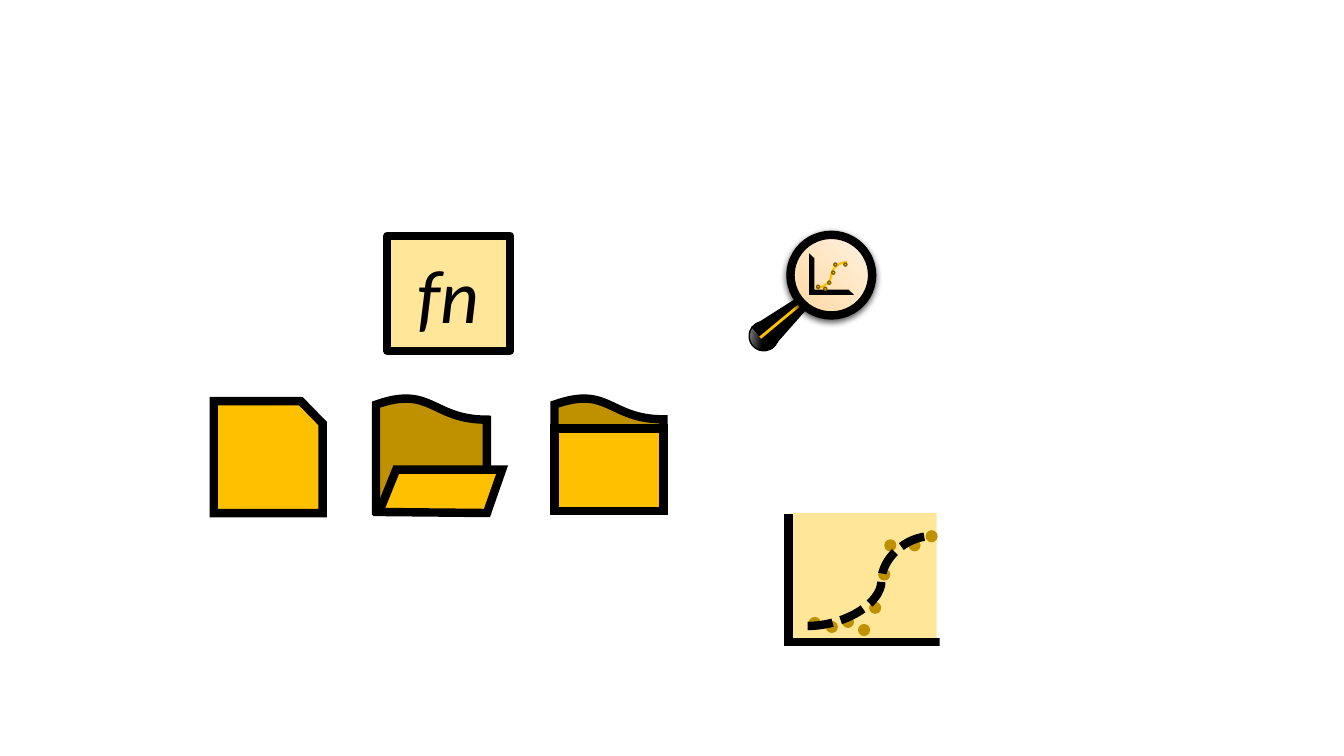
from lxml import etree
from pptx import Presentation
from pptx.dml.color import RGBColor
from pptx.enum.dml import MSO_LINE
from pptx.enum.shapes import MSO_CONNECTOR, MSO_SHAPE
from pptx.enum.text import MSO_ANCHOR, PP_ALIGN
from pptx.oxml import parse_xml
from pptx.oxml.ns import nsdecls, qn
from pptx.util import Inches, Pt

RECT, OVAL = MSO_SHAPE.RECTANGLE, MSO_SHAPE.OVAL
DOCUMENT, CARD = MSO_SHAPE.FLOWCHART_DOCUMENT, MSO_SHAPE.FLOWCHART_CARD
TRAPEZOID, FRAME = MSO_SHAPE.TRAPEZOID, MSO_SHAPE.HALF_FRAME
STRAIGHT, CURVE = MSO_CONNECTOR.STRAIGHT, MSO_CONNECTOR.CURVE
DASH = MSO_LINE.SQUARE_DOT
CENTER, MIDDLE = PP_ALIGN.CENTER, MSO_ANCHOR.MIDDLE

COLORS = {"black": "000000", "gray": "BFBFBF", "gold": "FFC000",
          "ochre": "BF9000", "brown": "806000", "cream": "FFE699",
          "peach": "FFD8A0", "ivory": "FFF2E3"}
FONT = "Calibri"
THICK = 6


def rgb(name):
    return RGBColor.from_string(COLORS[name])


def write(sp, text, size=18, color="black", italic=False):
    tf = sp.text_frame
    tf.vertical_anchor = MIDDLE
    p = tf.paragraphs[0]
    p.alignment = CENTER
    r = p.add_run()
    r.text = text
    r.font.name, r.font.size, r.font.italic = FONT, Pt(size), italic
    r.font.color.rgb = rgb(color)


class Deck:
    """Holds the slide and the shape tree that receives new elements."""

    def __init__(self, prs):
        self.slide = prs.slides.add_slide(prs.slide_layouts[6])
        self.shapes = self.slide.shapes

    def group(self):
        self.shapes = self.slide.shapes.add_group_shape().shapes

    def ungroup(self):
        self.shapes = self.slide.shapes

    def stroke(self, line, color, width, miter=True):
        line.color.rgb = rgb(color)
        line.width = Pt(width)
        if miter:
            join = etree.SubElement(line._get_or_add_ln(), qn("a:miter"))
            join.set("lim", "800000")

    def style(self, sp, fill, line=None, width=THICK, miter=True):
        sp.shadow.inherit = False
        sp.fill.solid()
        sp.fill.fore_color.rgb = rgb(fill)
        if line:
            self.stroke(sp.line, line, width, miter)
        else:
            sp.line.fill.background()
        return sp

    def shape(self, kind, x, y, w, h, fill, line=None, width=THICK,
              miter=True, flip=None, rotation=0, adj=()):
        sp = self.shapes.add_shape(kind, Inches(x), Inches(y), Inches(w), Inches(h))
        sp.rotation = rotation
        for i, value in enumerate(adj):
            sp.adjustments[i] = value
        if flip:
            sp._element.spPr.get_or_add_xfrm().set(flip, "1")
        return self.style(sp, fill, line, width, miter)

    def polygon(self, points, **fmt):
        pts = [(Inches(x), Inches(y)) for x, y in points]
        builder = self.shapes.build_freeform(*pts[0])
        builder.add_line_segments(pts[1:], close=True)
        return self.style(builder.convert_to_shape(), **fmt)

    def gradient(self, sp, colors, angle, end=1):
        sp.fill.gradient()
        sp.fill.gradient_angle = angle
        for stop, color, pos in zip(sp.fill.gradient_stops, colors, (0, end)):
            stop.color.rgb = rgb(color)
            stop.position = pos

    def drop_shadow(self, sp):
        sp._element.spPr.find(qn("a:effectLst")).append(parse_xml(
            f'<a:outerShdw {nsdecls("a")} blurRad="{Pt(4.5)}" dist="{Pt(1.5)}" '
            'dir="5400000" algn="ctr" rotWithShape="0"><a:srgbClr val="000000">'
            '<a:alpha val="63000"/></a:srgbClr></a:outerShdw>'))

    def connector(self, kind, start, end, color, width, dash=None, bend=None):
        cx = self.shapes.add_connector(kind, *map(Inches, start + end))
        cx.line.color.rgb = rgb(color)
        if dash:
            cx.line.dash_style = dash
        self.stroke(cx.line, color, width)
        spPr = cx._element.spPr
        etree.SubElement(spPr, qn("a:effectLst"))
        if bend:
            guides = spPr.find(qn("a:prstGeom")).get_or_add_avLst()
            gd = etree.SubElement(guides, qn("a:gd"))
            gd.set("name", "adj1")
            gd.set("fmla", f"val {round(bend * 100000)}")

    def dots(self, points, size, fill, **fmt):
        for x, y in points:
            self.shape(OVAL, x, y, size, size, fill, **fmt)


prs = Presentation()
prs.slide_width, prs.slide_height = Inches(13.33), Inches(7.5)
deck = Deck(prs)

# Open folder
deck.group()
deck.shape(DOCUMENT, 3.73, 3.94, 1.1, 1.13, "ochre", "black", flip="flipV")
deck.polygon([(3.76, 5.08), (3.93, 4.66), (4.98, 4.66), (4.83, 5.09)],
             fill="gold", line="black")

# Magnifying glass: handle and lens
deck.group()
knob = deck.shape(OVAL, 7.43, 3.19, 0.29, 0.29, "black", "black", 1, rotation=321.8)
deck.gradient(knob, ("gray", "black"), 315, end=0.5)
deck.shape(TRAPEZOID, 7.6, 2.92, 0.3, 0.53, "black", rotation=49.5)
deck.connector(STRAIGHT, (7.54, 3.35), (7.95, 3.01), "gold", 2)
lens = deck.shape(OVAL, 7.84, 2.33, 0.81, 0.8, "ivory", "black")
deck.gradient(lens, ("peach", "ivory"), 45)
deck.drop_shadow(lens)

# Small plot inside the lens
deck.shape(FRAME, 8.04, 2.55, 0.39, 0.36, "gold", "black", 2.25,
           flip="flipV", adj=(0.057, 0.057))
deck.connector(CURVE, (8.09, 2.86), (8.4, 2.6), "gold", 1.5)
deck.dots([(8.1, 2.83), (8.17, 2.85), (8.21, 2.79), (8.25, 2.69),
           (8.27, 2.61), (8.37, 2.61)], 0.03, "gold", line="brown", width=1)

# Function box
deck.ungroup()
box = deck.shape(RECT, 3.84, 2.34, 1.22, 1.14, "cream", "black", miter=False)
write(box, "fn", size=54, italic=True)

# Closed folder
deck.group()
deck.shape(DOCUMENT, 5.5, 3.94, 1.08, 1.11, "ochre", "black", flip="flipV")
deck.shape(RECT, 5.5, 4.25, 1.08, 0.82, "gold", "black")

# File
deck.ungroup()
deck.shape(CARD, 2.12, 3.98, 1.08, 1.11, "gold", "black", flip="flipH")

# Large plot with fitted curve
deck.group()
deck.shape(RECT, 7.84, 5.09, 1.45, 1.31, "cream")
deck.dots([(9.18, 5.26)], 0.12, "ochre")
deck.shape(FRAME, 7.82, 5.1, 1.5, 1.27, "gold", "black", flip="flipV", adj=(0, 0))
deck.dots([(8.35, 6.11), (8.51, 6.19), (8.62, 5.97), (8.71, 5.64), (8.77, 5.35),
           (9.01, 5.35), (8.19, 6.16), (8.02, 6.12)], 0.12, "ochre")
deck.connector(CURVE, (8.01, 6.21), (9.23, 5.32), "black", THICK, dash=DASH, bend=0.6)

prs.save("out.pptx")
